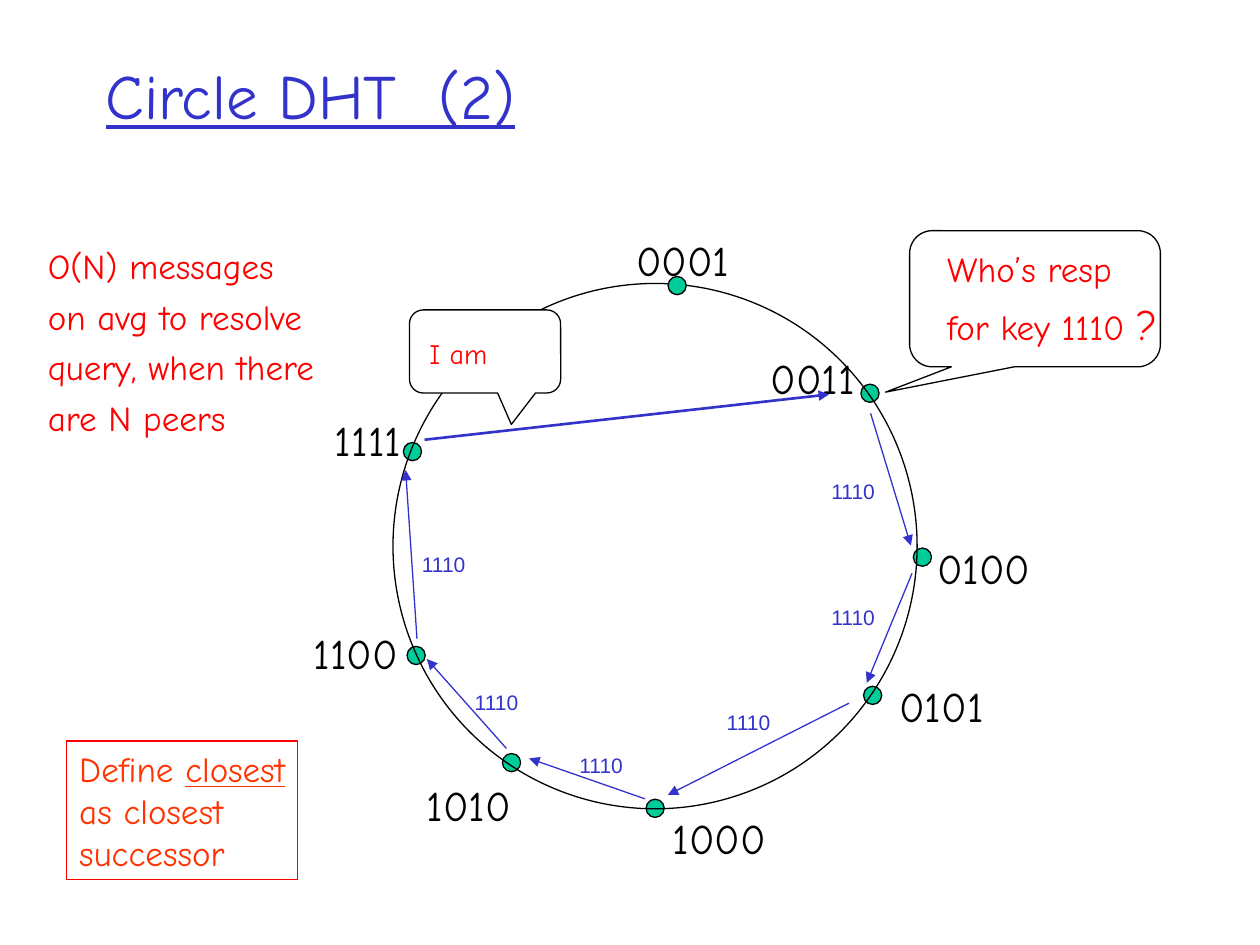
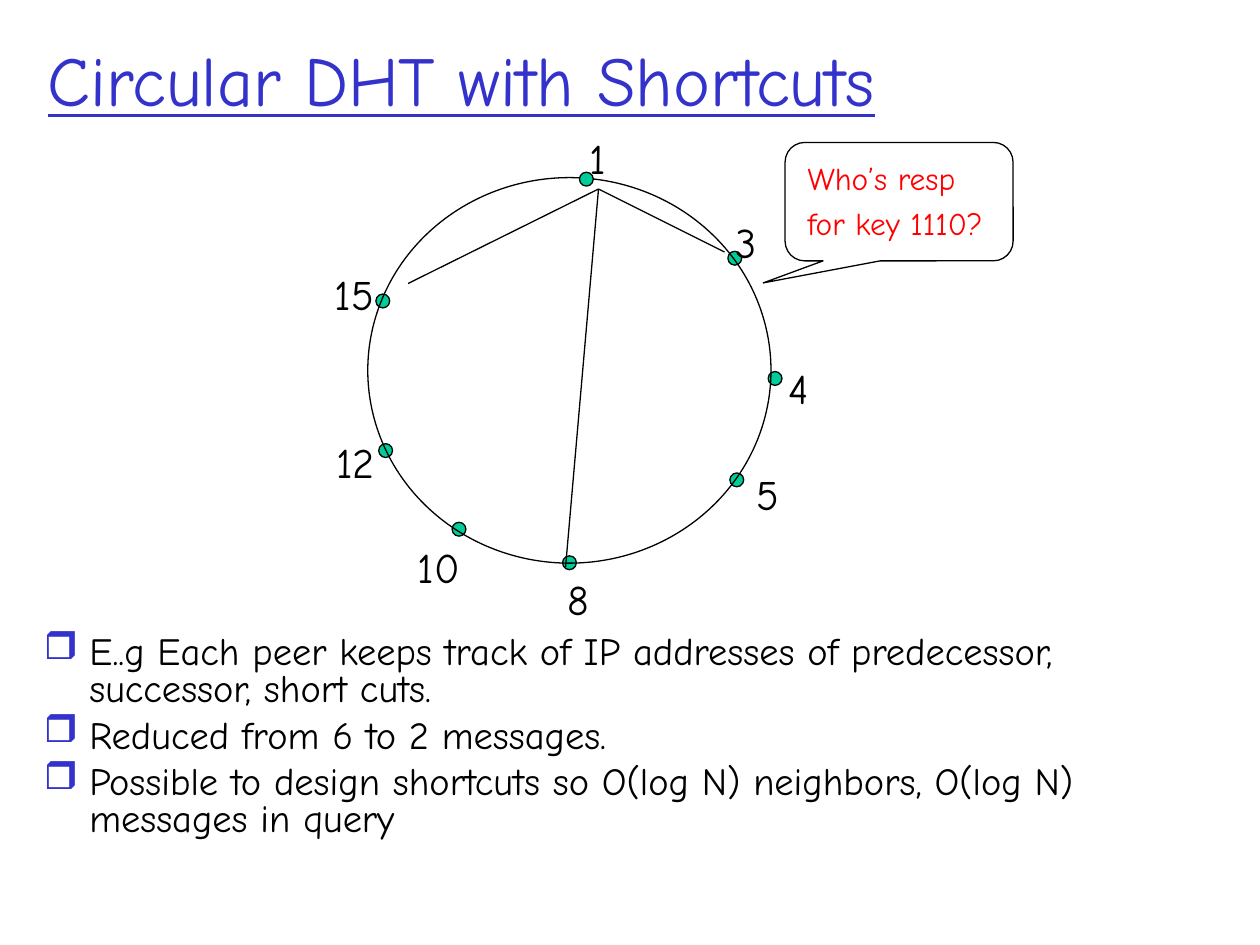
from lxml import etree
from pptx import Presentation
from pptx.dml.color import RGBColor
from pptx.enum.shapes import MSO_CONNECTOR as CONN, MSO_SHAPE as SHAPE
from pptx.enum.text import MSO_ANCHOR as ANCHOR, MSO_AUTO_SIZE as AUTO, PP_ALIGN as ALIGN
from pptx.oxml.ns import qn
from pptx.util import Pt

BLUE = RGBColor(0x33, 0x33, 0xCC)
GREEN = RGBColor(0x00, 0xCC, 0x99)
RED = RGBColor(0xFF, 0x00, 0x00)
ORANGE = RGBColor(0xFF, 0x33, 0x00)
BLACK = RGBColor(0x00, 0x00, 0x00)
WHITE = RGBColor(0xFF, 0xFF, 0xFF)
COMIC = "Comic Neue"

PEER_PERCENTS = [(54.2, 0.4), (91, 20.9), (101, 52.1), (91.5, 78.4),
                 (50, 99.9), (22.6, 91.2), (4.4, 70.8), (3.7, 32)]


def points(*values):
    return [Pt(v) for v in values]


def write(tf, paragraphs, size=20, color=BLACK, font=COMIC, underline=False,
          before=0, spacing=None):
    for i, runs in enumerate(paragraphs):
        p = tf.paragraphs[0] if i == 0 else tf.add_paragraph()
        p.alignment = ALIGN.LEFT
        p.space_before = Pt(before)
        if spacing:
            p.line_spacing = spacing
        for text, changes in [(runs, {})] if isinstance(runs, str) else runs:
            for n, part in enumerate(text.split("\n")):
                if n:
                    p.add_line_break()
                if not part:
                    continue
                r = p.add_run()
                r.text = part
                r.font.name = font
                r.font.size = Pt(changes.get("size", size))
                r.font.color.rgb = color
                r.font.underline = changes.get("underline", underline)


def add_text(slide, box, paragraphs, wrap=False, grow=True, **style):
    tf = slide.shapes.add_textbox(*points(*box)).text_frame
    tf.word_wrap = wrap
    tf.auto_size = AUTO.SHAPE_TO_FIT_TEXT if grow else AUTO.NONE
    write(tf, paragraphs, **style)
    return tf


def add_shape(slide, kind, box, fill=None, line=BLACK):
    sp = slide.shapes.add_shape(kind, *points(*box))
    sp.shadow.inherit = False
    if fill is None:
        sp.fill.background()
    else:
        sp.fill.solid()
        sp.fill.fore_color.rgb = fill
    sp.line.color.rgb = line
    sp.line.width = Pt(0.75)
    return sp


def add_line(slide, ends, color=BLACK, width=0.75, arrow=False):
    line = slide.shapes.add_connector(CONN.STRAIGHT, *points(*ends))
    line.line.color.rgb = color
    line.line.width = Pt(width)
    if arrow:
        etree.SubElement(line.line._get_or_add_ln(), qn("a:tailEnd"), type="triangle")
    etree.SubElement(line._element.spPr, qn("a:effectLst"))


def add_title(slide, box, text, size, bottom=3.6):
    title = slide.shapes.title
    title.left, title.top, title.width, title.height = points(*box)
    tf = title.text_frame
    tf.word_wrap = True
    tf.auto_size = AUTO.NONE
    tf.vertical_anchor = ANCHOR.MIDDLE
    tf.margin_bottom = Pt(bottom)
    write(tf, [text], size=size, color=BLUE, underline=True)


def add_callout(slide, box, tip, text_box, paragraphs, fill=None, wrap=False, **style):
    sp = add_shape(slide, SHAPE.ROUNDED_RECTANGULAR_CALLOUT, box, fill)
    sp.adjustments[0], sp.adjustments[1] = tip
    x, y, w, h = text_box
    add_text(slide, (box[0] + x, box[1] + y, w, h), paragraphs, wrap=wrap,
             color=RED, **style)


def add_ring(slide, box, dot, labels):
    left, top, width, height = box

    def add_peer(percents):
        x = left + width * percents[0] / 100
        y = top + height * percents[1] / 100
        add_shape(slide, SHAPE.OVAL, (x - dot / 2, y - dot / 2, dot, dot), GREEN)

    for percents in PEER_PERCENTS[1:]:
        add_peer(percents)
    add_shape(slide, SHAPE.OVAL, box)
    for text, x, y, w in labels:
        add_text(slide, (left + x, top + y, w, 36), [text], size=24, before=6)
    add_peer(PEER_PERCENTS[0])


def add_lines(slide, box, lines, **style):
    left, top = box[:2]
    for x1, y1, x2, y2 in lines:
        add_line(slide, (left + x1, top + y1, left + x2, top + y2), **style)


def add_key_hops(slide, box):
    hops = [(272.9, 74.2, 295.9, 149.8), (296.6, 165.6, 270.7, 228.2),
            (260.6, 239.8, 157, 292.3), (144, 294.5, 77.8, 271.4),
            (64.8, 265.7, 19.4, 214.6), (13.7, 203, 7.2, 106.6)]
    keys = [(243.4, 108), (243.4, 180), (183.6, 239.8),
            (99.4, 264.2), (39.6, 228.2), (9.4, 149.8)]
    add_lines(slide, box, hops, color=BLUE, arrow=True)
    add_lines(slide, box, [(18, 89.3, 249.1, 63.4)], color=BLUE, width=1.5, arrow=True)
    for x, y in keys:
        add_text(slide, (box[0] + x, box[1] + y, 41, 21.8), ["1110"],
                 size=12, color=BLUE, font="Arial", before=3)


def add_definition(slide, box):
    sp = add_shape(slide, SHAPE.RECTANGLE, box, line=RED)
    tf = sp.text_frame
    tf.word_wrap = False
    tf.vertical_anchor = ANCHOR.TOP
    write(tf, [[("Define ", {}), ("closest", {"underline": True}),
                ("\nas closest\nsuccessor", {})]], color=ORANGE, before=5)


def add_bullets(slide, box, items):
    tf = add_text(slide, box, items, wrap=True, grow=False, size=22,
                  before=5.5, spacing=0.8)
    for p in tf.paragraphs:
        pPr = p._p.get_or_add_pPr()
        pPr.set("marL", str(Pt(26)))
        pPr.set("indent", str(-Pt(26)))
        color = etree.SubElement(pPr, qn("a:buClr"))
        etree.SubElement(color, qn("a:srgbClr"), val=str(BLUE))
        etree.SubElement(pPr, qn("a:buChar"), char="❒")


def build_circle(slide):
    ring = (224.6, 162, 299.5, 300.2)
    add_title(slide, (53.3, 28.1, 612, 93.6), "Circle DHT  (2)", 36, bottom=46)
    add_ring(slide, ring, 10.4, [
        ("0001", 131.8, -31.7, 68), ("0011", 208.8, 36, 63),
        ("0100", 303.8, 144.7, 68), ("0101", 282.2, 223.2, 63),
        ("1000", 152.6, 298.8, 68), ("1010", 12.2, 280.1, 63),
        ("1100", -52.6, 193, 63), ("1111", -40.3, 71.3, 53)])
    add_callout(slide, (519.8, 131.8, 143.3, 77.8), (-0.596, 0.686),
                (14.4, 5.8, 135.4, 66.2),
                ["Who’s resp", [("for key 1110 ", {}), ("?", {"size": 24})]],
                before=5.5)
    add_key_hops(slide, ring)
    add_callout(slide, (234, 177.1, 86.4, 47.5), (0.174, 0.878),
                (4.3, 11.5, 101.5, 26.6), ["I am"], fill=WHITE, wrap=True,
                size=16, before=4)
    add_text(slide, (20.2, 136.1, 167, 118),
             ["O(N) messages", "on avg to resolve", "query, when there", "are N peers"],
             color=RED, before=5)
    add_definition(slide, (38.2, 423.4, 131.8, 79.2))


def build_shortcuts(slide):
    ring = (210.2, 101.5, 230.4, 220.3)
    add_title(slide, (20.2, 0, 648, 90), "Circular DHT with Shortcuts", 40)
    add_bullets(slide, (18, 360, 648, 131.8), [
        "E..g Each peer keeps track of IP addresses of predecessor, successor, short cuts.",
        "Reduced from 6 to 2 messages.",
        "Possible to design shortcuts so O(log N) neighbors, O(log N) messages in query"])
    add_ring(slide, ring, 7.9, [
        ("1", 119.5, -29.5, 25), ("3", 203, 18.7, 28),
        ("4", 233.3, 102.2, 28), ("5", 215.3, 162.7, 28),
        ("8", 107.3, 222.5, 28), ("10", 21.6, 204.5, 42),
        ("12", -25.2, 144.7, 42), ("15", -25.9, 48.2, 42)])
    add_callout(slide, (448.6, 81.4, 130.3, 67.7), (-0.596, 0.686),
                (5.8, 5.8, 129.6, 55.4), ["Who’s resp", "for key 1110?"],
                wrap=True, size=18, before=4.5)
    add_lines(slide, ring, [(131.8, 6.5, 203.8, 42.5), (131.8, 6.5, 113, 222.5),
                            (131.8, 6.5, 23, 60.5)])


def main():
    prs = Presentation()
    prs.slide_width, prs.slide_height = points(720, 540)
    for build in (build_circle, build_shortcuts):
        build(prs.slides.add_slide(prs.slide_layouts[5]))
    prs.save("out.pptx")


if __name__ == "__main__":
    main()
